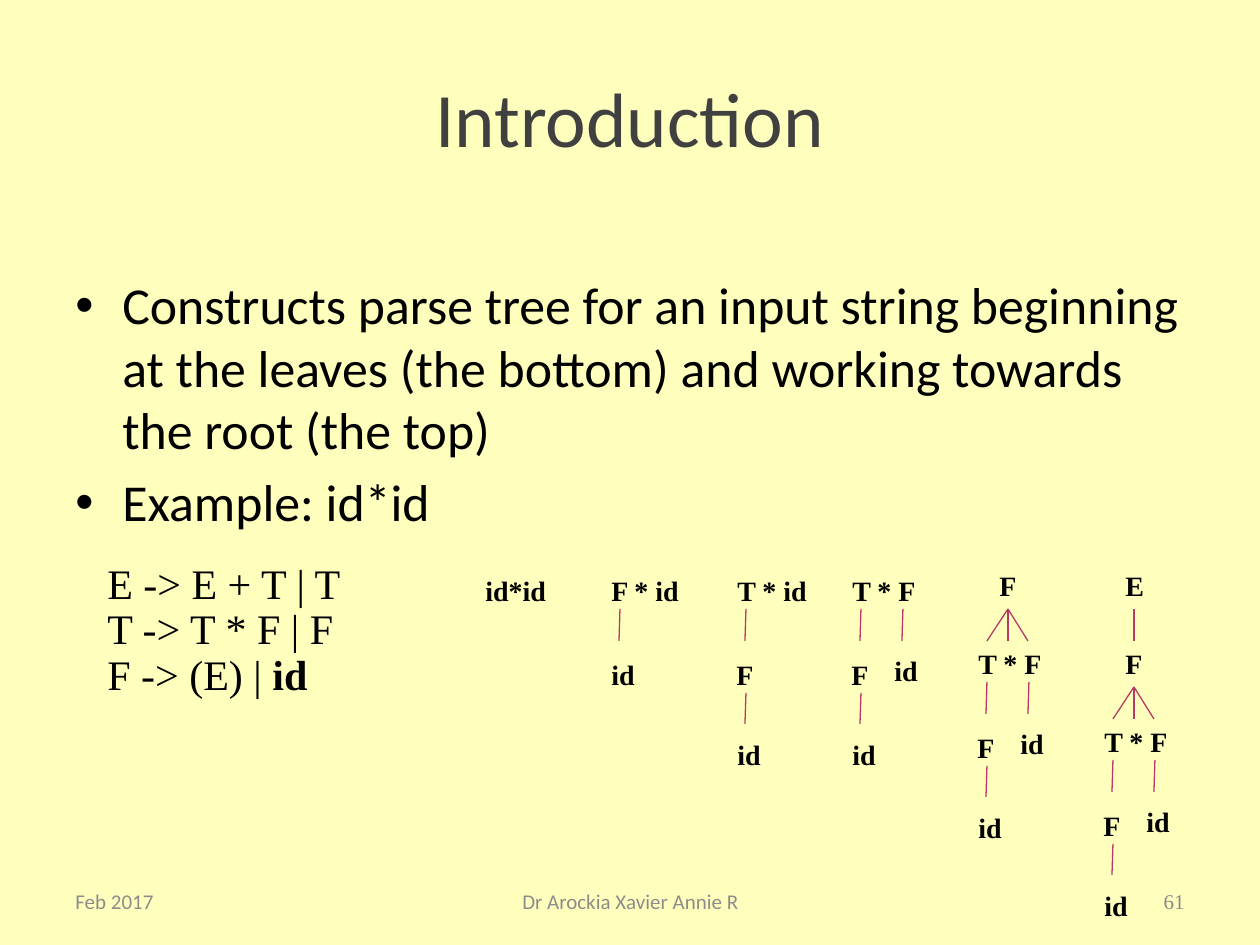
from lxml import etree
from pptx import Presentation
from pptx.dml.color import RGBColor
from pptx.enum.shapes import MSO_CONNECTOR
from pptx.enum.text import MSO_ANCHOR, PP_ALIGN
from pptx.oxml.ns import qn
from pptx.util import Emu, Pt

LEFT, CENTER, RIGHT = PP_ALIGN.LEFT, PP_ALIGN.CENTER, PP_ALIGN.RIGHT
TOP, MIDDLE = MSO_ANCHOR.TOP, MSO_ANCHOR.MIDDLE
STRAIGHT = MSO_CONNECTOR.STRAIGHT
PX = 914400 // 126
SANS, SERIF = "Calibri", "Times New Roman"
COLORS = {"background": "FFFFBD", "title": "404040", "text": "000000",
          "footer": "8C8C8C", "number": "898989", "branch": "B73965"}

# Content
TITLE = "Introduction"
BULLETS = [
    "Constructs parse tree for an input string beginning at the leaves "
    "(the bottom) and working towards the root (the top)",
    "Example: id*id",
]
GRAMMAR = [("E -> E + T | T", ""), ("T -> T * F | F", ""), ("F -> (E) | ", "id")]
FOOTERS = [  # text, left, width, alignment, font, color
    ("Feb 2017", 63, 294, LEFT, SANS, "footer"),
    ("Dr Arockia Xavier Annie R", 431, 399, CENTER, SANS, "footer"),
    ("61", 903, 294, RIGHT, SERIF, "number"),
]

# Tree pieces: labels (text, dx, dy) and branches (x1, y1, x2, y2)
STEM = (21, 42, 20, 74)
LOWER_STEM = (21, 126, 20, 157)
F_OVER_ID = [("F", -1, 84), ("id", 0, 164)]
PRODUCT = ([("T * F", 0, 0), *F_OVER_ID, ("id", 42, 80)],
           [STEM, LOWER_STEM, (63, 42, 62, 74)])
REDUCED = (PRODUCT[0] + [("F", 21, -78)],
           PRODUCT[1] + [(42, -31, x, 1) for x in (21, 42, 62)])
ACCEPTED = (REDUCED[0] + [("E", 21, -156)],
            REDUCED[1] + [(42, -109, 42, -77)])
TREES = [  # left, top, (labels, branches)
    (473, 567, ([("id*id", 0, 0)], [])),
    (599, 567, ([("F * id", 0, 0), ("id", 0, 84)], [STEM])),
    (725, 567, ([("T * id", 0, 0), *F_OVER_ID], [STEM, LOWER_STEM])),
    (840, 567, PRODUCT),
    (966, 640, REDUCED),
    (1092, 718, ACCEPTED),
]

deck = Presentation()
deck.slide_width, deck.slide_height = Emu(1260 * PX), Emu(945 * PX)
slide = deck.slides.add_slide(deck.slide_layouts[6])
slide.background.fill.solid()
slide.background.fill.fore_color.rgb = RGBColor.from_string(COLORS["background"])


def add_text(paragraphs, box, size, font, color="text", align=LEFT,
             anchor=TOP, bold=None, wrap=True):
    """Each paragraph is a (plain, bold) pair of texts."""
    frame = slide.shapes.add_textbox(*(Emu(v * PX) for v in box)).text_frame
    frame.word_wrap, frame.vertical_anchor = wrap, anchor
    for i, (plain, strong) in enumerate(paragraphs):
        line = frame.add_paragraph() if i else frame.paragraphs[0]
        line.alignment = align
        line.font.size, line.font.name, line.font.bold = Pt(size), font, bold
        line.font.color.rgb = RGBColor.from_string(COLORS[color])
        line.add_run().text = plain
        if strong:
            run = line.add_run()
            run.text, run.font.bold = strong, True
    return frame


def hang(line, indent):
    props = line._p.get_or_add_pPr()
    props.set("marL", str(indent * PX))
    props.set("indent", str(-indent * PX))
    return props


def add_branch(x1, y1, x2, y2):
    branch = slide.shapes.add_connector(
        STRAIGHT, *(Emu(v * PX) for v in (x1, y1, x2, y2)))
    branch.line.color.rgb = RGBColor.from_string(COLORS["branch"])
    branch.line.width = Pt(0.75)
    etree.SubElement(branch._element.spPr, qn("a:effectLst"))


# Title and bullets
add_text([(TITLE, "")], (63, 38, 1134, 157), 44, SANS, "title", CENTER, MIDDLE)
body = add_text([(b, "") for b in BULLETS], (63, 267, 1134, 248), 29.6, SANS)
for line in body.paragraphs:
    line.space_before = Pt(6)
    props = hang(line, 47)
    bullet_font = etree.Element(qn("a:buFont"), typeface="Arial")
    bullet = etree.Element(qn("a:buChar"), char="•")
    spacing = props.find(qn("a:spcBef"))
    spacing.addnext(bullet_font)
    bullet_font.addnext(bullet)

# Grammar
rules = add_text(GRAMMAR, (95, 557, 630, 150), 24, SERIF)
for line in rules.paragraphs:
    line.line_spacing = 0.9
    hang(line, 63)

# Parse trees
for left, top, (labels, branches) in TREES:
    for label, dx, dy in labels:
        add_text([(label, "")], (left + dx, top + dy, 105 if len(label) > 2 else 49, 47),
                 16, SERIF, bold=True, wrap=len(label) > 2)
    for x1, y1, x2, y2 in branches:
        add_branch(left + x1, top + y1, left + x2, top + y2)

# Footer
for text, left, width, align, font, color in FOOTERS:
    add_text([(text, "")], (left, 876, width, 50), 12, font, color, align, MIDDLE)

deck.save("out.pptx")
